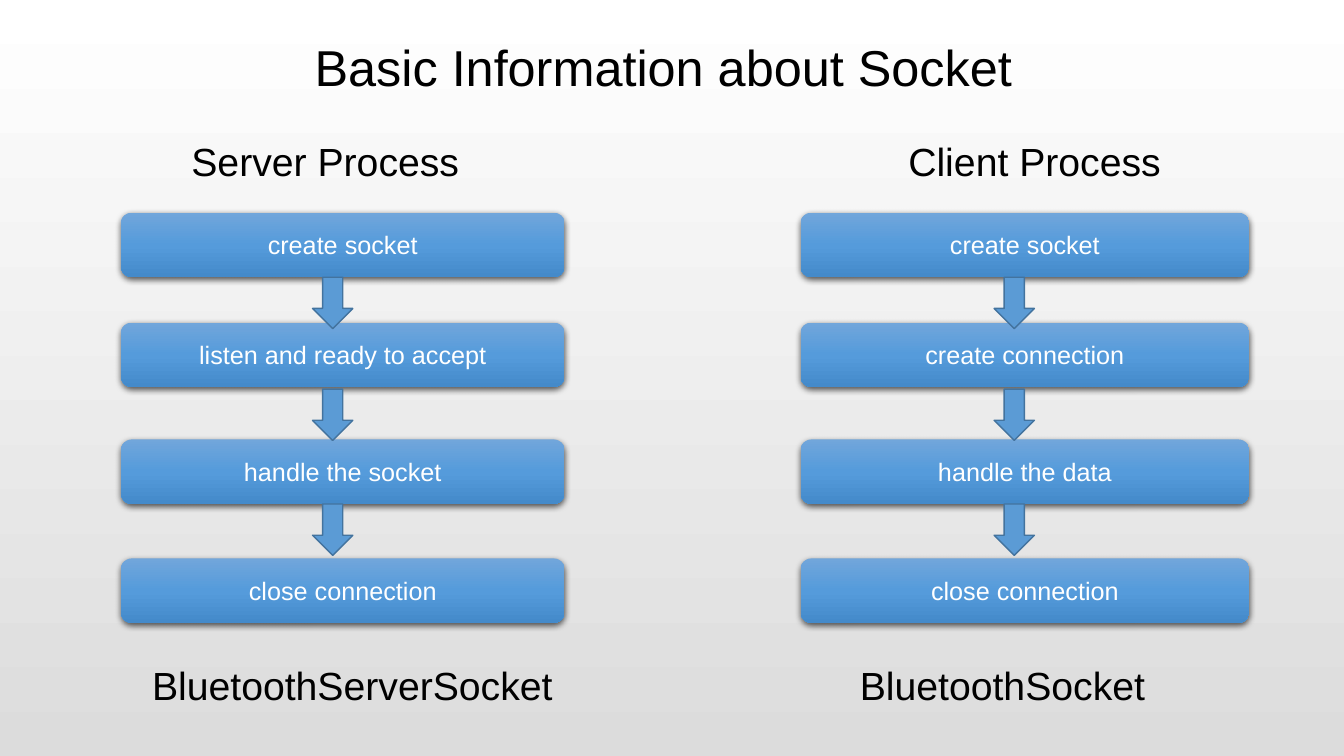
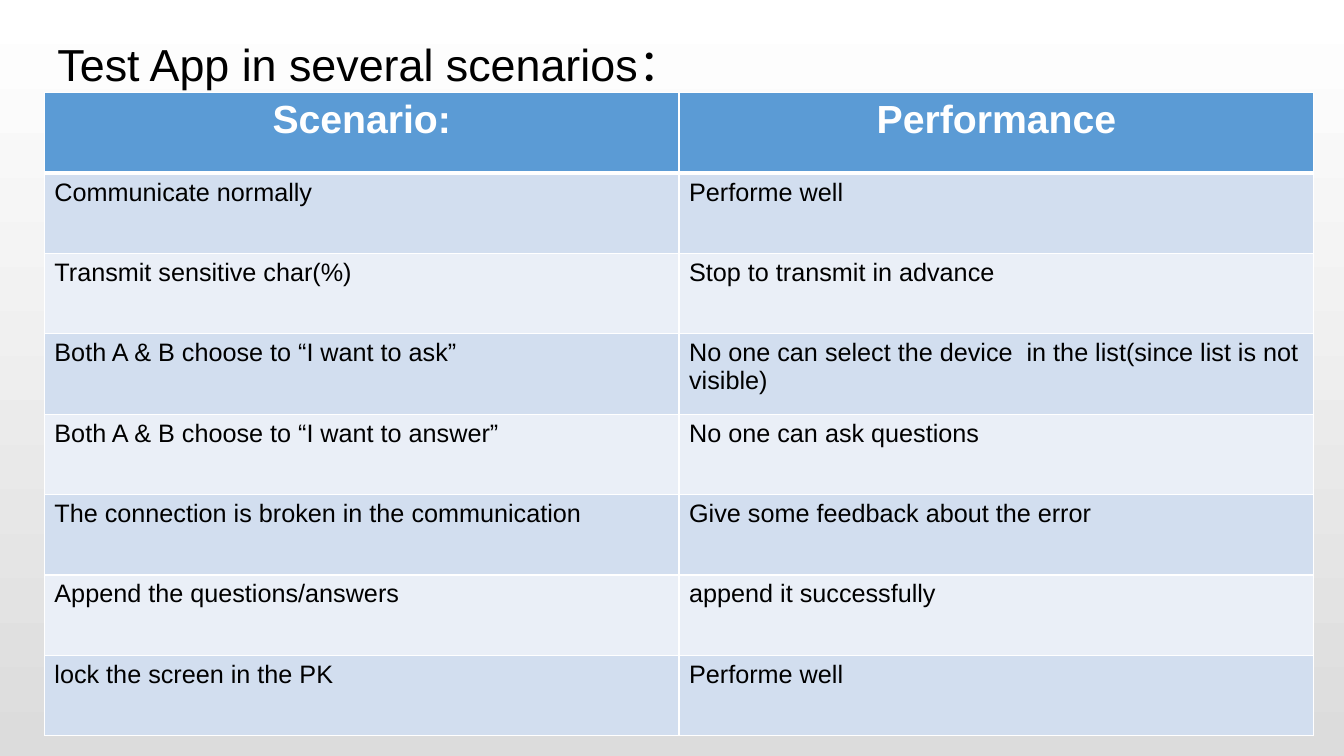
import copy
import dataclasses

import lxml.etree
import pptx
import pptx.dml.color
import pptx.enum.shapes
import pptx.enum.text
import pptx.oxml
import pptx.oxml.ns
import pptx.util

Inches = pptx.util.Inches
Pt = pptx.util.Pt
Color = pptx.dml.color.RGBColor.from_string
Shape = pptx.enum.shapes.MSO_SHAPE
Align = pptx.enum.text.PP_ALIGN
Anchor = pptx.enum.text.MSO_ANCHOR
qn = pptx.oxml.ns.qn


@dataclasses.dataclass(frozen=True)
class Theme:
    font: str = "Arial"
    ink: str = "000000"
    light: str = "FFFFFF"
    accent: str = "5B9BD5"
    outline: str = "43739E"
    backdrop: tuple = ("FFFFFF", "DCDCDC")
    step: tuple = ("71A6DB", "559BDB", "448ACA")
    bands: tuple = ("D2DEEF", "EAEFF7")
    title: int = 36
    table_title: int = 32
    heading: int = 28
    body: int = 18


theme = Theme()


def write_text(frame, text, size=theme.body, color=theme.ink, bold=False,
               align=Align.LEFT, anchor=Anchor.TOP):
    frame.word_wrap = True
    frame.vertical_anchor = anchor
    para = frame.paragraphs[0]
    para.alignment = align
    span = para.add_run()
    span.text = text
    span.font.name = theme.font
    span.font.size = Pt(size)
    span.font.bold = bold
    span.font.color.rgb = Color(color)


def paint_gradient(fill, element, colors):
    fill.gradient()
    fill.gradient_angle = 270
    stops = next(element.iter(qn("a:gsLst")))
    for stop in list(stops):
        stops.remove(stop)
    for index, color in enumerate(colors):
        position = 100000 * index // (len(colors) - 1)
        stop = lxml.etree.SubElement(stops, qn("a:gs"), pos=str(position))
        lxml.etree.SubElement(stop, qn("a:srgbClr"), val=color)


deck = pptx.Presentation()
deck.slide_width = Inches(13.33)
deck.slide_height = Inches(7.5)
master = deck.slide_master
paint_gradient(master.background.fill, master.element, theme.backdrop)

pages = []
for text, left, width, height, size in [
    ("Basic Information about Socket", 3.02, 7.3, 0.71, theme.title),
    ("Test App in several scenarios\uff1a", 0.47, 8.03, 0.64, theme.table_title),
]:
    page = deck.slides.add_slide(deck.slide_layouts[5])
    title = page.shapes.title
    title.left, title.top = Inches(left), Inches(0.31)
    title.width, title.height = Inches(width), Inches(height)
    title.text_frame.auto_size = pptx.enum.text.MSO_AUTO_SIZE.NONE
    write_text(title.text_frame, text, size=size)
    pages.append(page)
process_page, scenario_page = pages

shadow = pptx.oxml.parse_xml(
    '<a:outerShdw xmlns:a="http://schemas.openxmlformats.org/drawingml/2006/main" '
    'blurRad="57150" dist="19050" dir="5400000" algn="ctr" rotWithShape="0">'
    '<a:srgbClr val="000000"><a:alpha val="63000"/></a:srgbClr></a:outerShdw>')
step_tops = (2.11, 3.2, 4.36, 5.54)
arrow_tops = (2.75, 3.86, 5)
processes = [
    (1.2, 4.4, 3.1,
     ("create socket", "listen and ready to accept", "handle the socket", "close connection"),
     (("Server Process", 1.8, 1.31, 2.97), ("BluetoothServerSocket", 1.41, 6.51, 4.33))),
    (7.94, 4.45, 9.86,
     ("create socket", "create connection", "handle the data", "close connection"),
     (("Client Process", 8.91, 1.31, 3.31), ("BluetoothSocket", 8.43, 6.51, 3.03))),
]
for left, width, arrow_left, steps, captions in processes:
    for text, top in zip(steps, step_tops):
        box = process_page.shapes.add_shape(
            Shape.ROUNDED_RECTANGLE, Inches(left), Inches(top), Inches(width), Inches(0.64))
        paint_gradient(box.fill, box.element, theme.step)
        box.line.fill.background()
        box.shadow.inherit = False
        next(box.element.iter(qn("a:effectLst"))).append(copy.deepcopy(shadow))
        write_text(box.text_frame, text, color=theme.light,
                   align=Align.CENTER, anchor=Anchor.MIDDLE)
    for top in arrow_tops:
        arrow = process_page.shapes.add_shape(
            Shape.DOWN_ARROW, Inches(arrow_left), Inches(top), Inches(0.4), Inches(0.51))
        arrow.shadow.inherit = False
        arrow.fill.solid()
        arrow.fill.fore_color.rgb = Color(theme.accent)
        arrow.line.color.rgb = Color(theme.outline)
        arrow.line.width = Pt(1)
    for text, caption_left, top, caption_width in captions:
        caption = process_page.shapes.add_textbox(
            Inches(caption_left), Inches(top), Inches(caption_width), Inches(0.57))
        write_text(caption.text_frame, text, size=theme.heading)

scenarios = [
    ("Scenario:", "Performance"),
    ("Communicate normally", "Performe well"),
    ("Transmit sensitive char(%)", "Stop to transmit in advance"),
    ("Both A & B choose to “I want to ask”",
     "No one can select the device  in the list(since list is not visible)"),
    ("Both A & B choose to “I want to answer”", "No one can ask questions"),
    ("The connection is broken in the communication", "Give some feedback about the error"),
    ("Append the questions/answers", "append it successfully"),
    ("lock the screen in the PK", "Performe well"),
]
table = scenario_page.shapes.add_table(
    len(scenarios), 2, Inches(0.44), Inches(0.92), Inches(12.59), Inches(6.38)).table
for row, texts in enumerate(scenarios):
    header = row == 0
    for column, text in enumerate(texts):
        cell = table.cell(row, column)
        cell.fill.solid()
        cell.fill.fore_color.rgb = Color(theme.accent if header else theme.bands[(row - 1) % 2])
        if header:
            write_text(cell.text_frame, text, size=theme.heading, color=theme.light,
                       bold=True, align=Align.CENTER)
        else:
            write_text(cell.text_frame, text)
        properties = cell._tc.get_or_add_tcPr()
        for index, side in enumerate(("lnL", "lnR", "lnT", "lnB")):
            thick = (row, side) in ((0, "lnB"), (1, "lnT"))
            border = lxml.etree.Element(qn("a:" + side), w=str(Pt(3 if thick else 1)))
            paint = lxml.etree.SubElement(border, qn("a:solidFill"))
            lxml.etree.SubElement(paint, qn("a:srgbClr"), val=theme.light)
            properties.insert(index, border)

deck.save("out.pptx")
